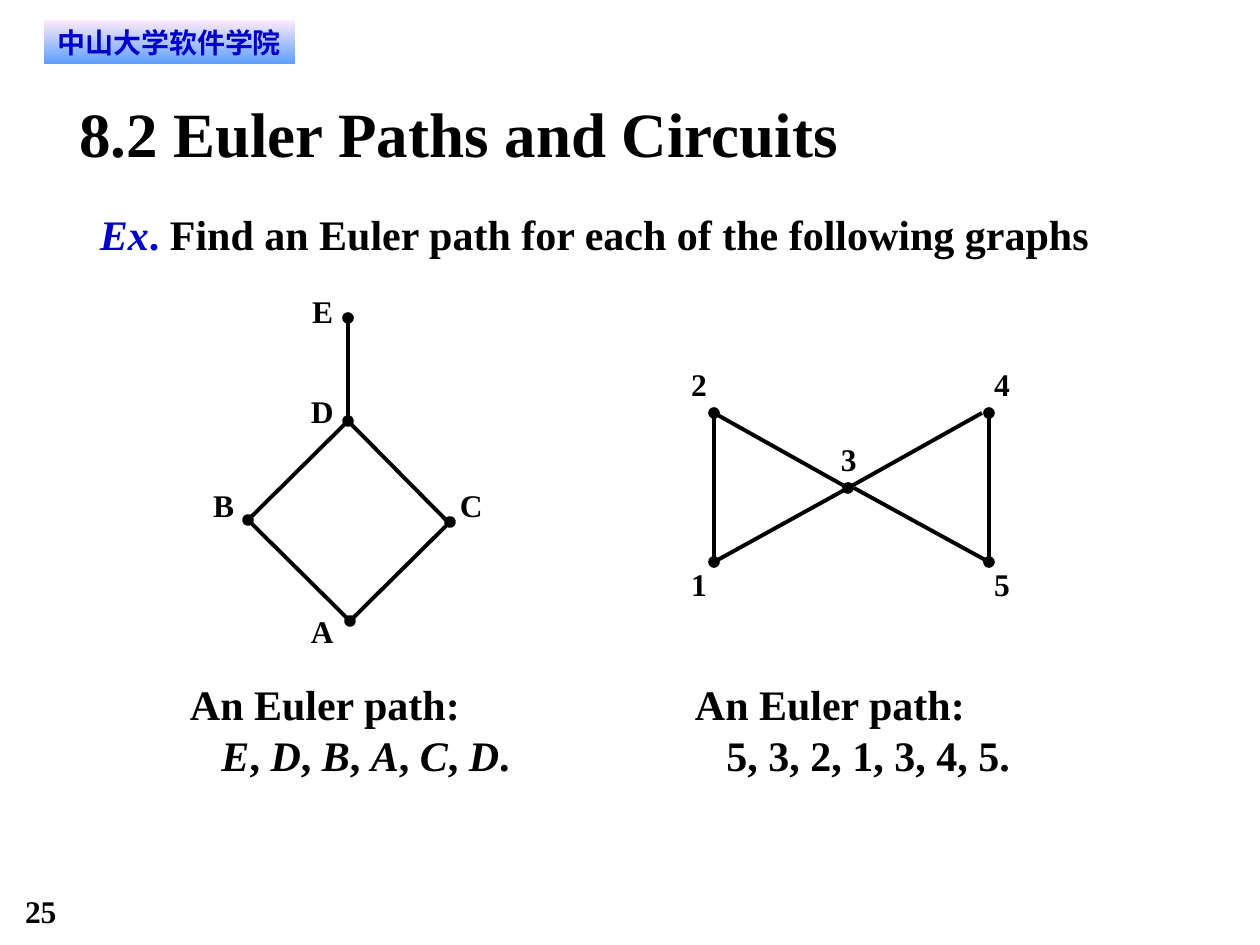
from lxml.etree import SubElement as Sub
from pptx import Presentation
from pptx.dml.color import RGBColor as Rgb
from pptx.enum.shapes import MSO_CONNECTOR as Conn, MSO_SHAPE as Geo
from pptx.enum.text import MSO_ANCHOR as Anchor, PP_ALIGN as Align
from pptx.oxml.ns import qn
from pptx.util import Pt

PX = 914400 / 126
INK = {"black": "000000", "blue": "0000CC", "pink": "FFEBFA", "sky": "5E9EFF"}
SERIF = "Times New Roman"


def add_run(para, text, size, color="black", slant=False, face=SERIF):
    run = para.add_run()
    run.text = text
    font = run.font
    font.name, font.size = face, Pt(size)
    font.bold, font.italic = True, slant
    font.color.rgb = Rgb.from_string(INK[color])
    Sub(font._element, qn("a:ea")).set("typeface", face)


def add_box(shapes, area, wrap=True):
    frame = shapes.add_textbox(*[round(v * PX) for v in area]).text_frame
    frame.margin_left = frame.margin_right = 0
    frame.margin_top = frame.margin_bottom = 0
    frame.word_wrap = wrap
    return frame


deck = Presentation()
deck.slide_width, deck.slide_height = round(1260 * PX), round(945 * PX)
slide = deck.slides.add_slide(deck.slide_layouts[6])
shapes = slide.shapes

page = add_box(shapes, (25, 892, 95, 38))
add_run(page.paragraphs[0], "25", 18)

badge = shapes.add_shape(Geo.RECTANGLE, *[round(v * PX) for v in (44, 20, 251, 44)])
badge.shadow.inherit = False
badge.line.fill.background()
badge.fill.gradient()
badge.fill.gradient_angle = 270
for stop, place, color in zip(badge.fill.gradient_stops, (0, 1), ("pink", "sky")):
    stop.position = place
    stop.color.rgb = Rgb.from_string(INK[color])
frame = badge.text_frame
frame.word_wrap = True
frame.vertical_anchor = Anchor.MIDDLE
frame.margin_left = frame.margin_right = round(10 * PX)
frame.margin_top = frame.margin_bottom = round(5 * PX)
frame.paragraphs[0].alignment = Align.CENTER
add_run(frame.paragraphs[0], "中山大学软件学院", 16, "blue", face="DejaVu Sans")

task = add_box(shapes, (100, 198, 1109, 60)).paragraphs[0]
task.line_spacing = 1.2
add_run(task, "Ex", 24, "blue", True)
add_run(task, ". ", 24, "blue")
add_run(task, "Find an Euler path for each of the following graphs", 24)

kite = {
    "edges": [
        (348, 421, 248, 520, "both"),
        (348, 318, 348, 417, "head"),
        (348, 619, 248, 520, ""),
        (450, 522, 350, 621, "both"),
        (446, 520, 348, 421, ""),
    ],
    "marks": [("E", 312, 292), ("B", 213, 486), ("D", 311, 392),
              ("A", 311, 612), ("C", 460, 486)],
    "width": 22,
}
bow = {
    "edges": [
        (714, 413, 714, 562, "both"),
        (848, 488, 714, 562, "head"),
        (848, 488, 714, 413, ""),
        (989, 413, 989, 562, "both"),
        (982, 413, 848, 488, ""),
        (989, 562, 854, 488, ""),
    ],
    "marks": [("1", 691, 565), ("2", 691, 365), ("3", 841, 440),
              ("4", 994, 365), ("5", 994, 565)],
    "width": 16,
}
for graph in (kite, bow):
    group = shapes.add_group_shape().shapes
    for *ends, dots in graph["edges"]:
        edge = group.add_connector(Conn.STRAIGHT, *[round(v * PX) for v in ends])
        edge.line.width = Pt(2.25)
        edge.line.color.rgb = Rgb.from_string(INK["black"])
        stroke = edge.line._get_or_add_ln()
        if dots:
            Sub(stroke, qn("a:headEnd")).set("type", "oval")
        if dots == "both":
            Sub(stroke, qn("a:tailEnd")).set("type", "oval")
        Sub(edge._element.spPr, qn("a:effectLst"))
    for name, left, top in graph["marks"]:
        mark = add_box(group, (left, top, graph["width"], 38), False)
        add_run(mark.paragraphs[0], name, 18)

title = add_box(shapes, (79, 94, 1103, 76))
title.vertical_anchor = Anchor.MIDDLE
add_run(title.paragraphs[0], "8.2 Euler Paths and Circuits", 36)

for left, width, steps in ((190, 320, "EDBACD"), (695, 315, "5321345")):
    frame = add_box(shapes, (left, 679, width, 101), False)
    add_run(frame.paragraphs[0], "An Euler path:", 24)
    para = frame.add_paragraph()
    para._p.get_or_add_pPr().set("marL", str(Pt(18)))
    if steps.isdigit():
        add_run(para, ", ".join(steps) + ".", 24)
    else:
        for i, step in enumerate(steps, 1):
            add_run(para, step, 24, slant=True)
            add_run(para, "." if i == len(steps) else ", ", 24)

deck.save("out.pptx")
